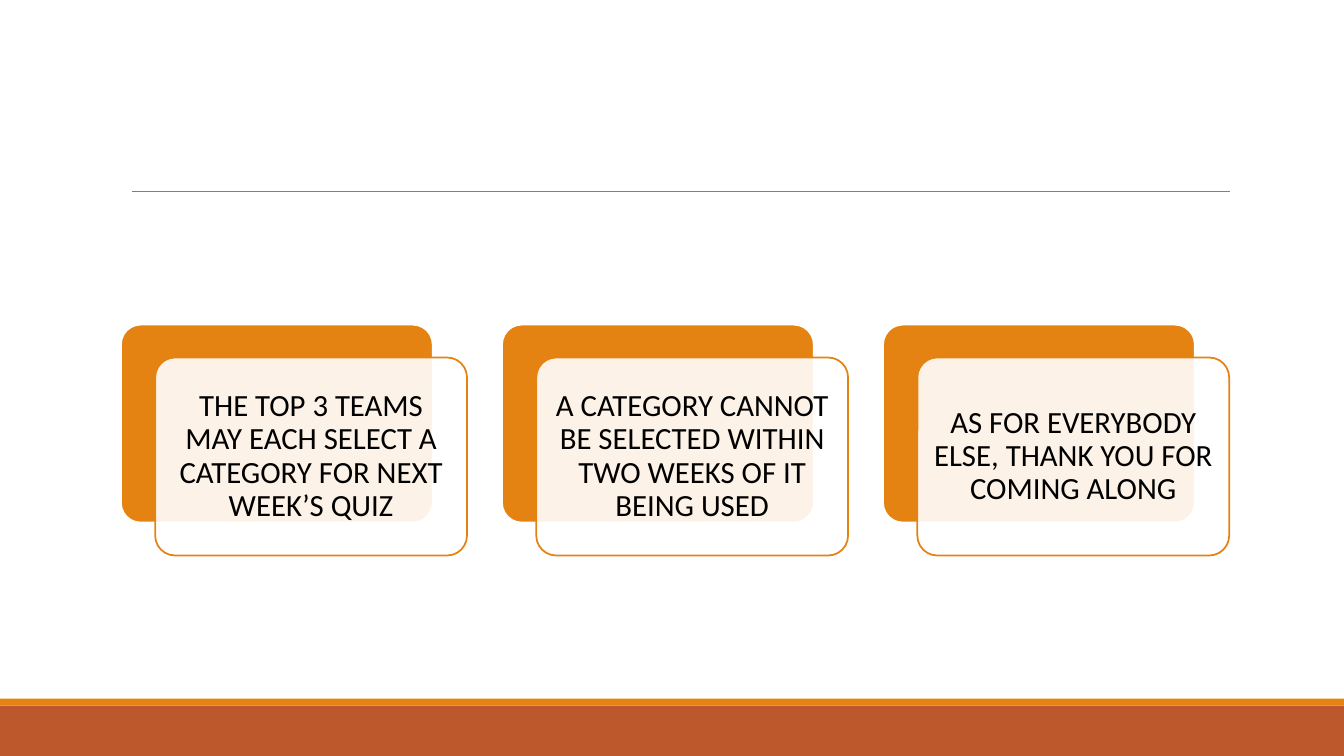
from lxml import etree
from pptx import Presentation
from pptx import util as u
from pptx.dml.color import RGBColor
from pptx.enum import shapes, text
from pptx.oxml.ns import qn

ORANGE, RUST, WHITE, GREY, BLACK = "E48312", "BD582C", "FFFFFF", "808080", "000000"
MESSAGES = [
    "THE TOP 3 TEAMS MAY EACH SELECT A CATEGORY FOR NEXT WEEK’S QUIZ",
    "A CATEGORY CANNOT BE SELECTED WITHIN TWO WEEKS OF IT BEING USED",
    "AS FOR EVERYBODY ELSE, THANK YOU FOR COMING ALONG",
]
CARD_LEFT, CARD_TOP, CARD_WIDTH, CARD_HEIGHT = 86.4, 231.9, 222.7, 141.4
CARD_STEP = 272.2
FRONT_SHIFT = 24.5, 23.5


def color(value):
    return RGBColor.from_string(value)


def add_block(kind, left, top, width, height, fill, outline=None):
    """Add a filled shape without shadow, outlined only if a colour is given."""
    block = page.shapes.add_shape(kind, u.Pt(left), u.Pt(top), u.Pt(width), u.Pt(height))
    block.shadow.inherit = False
    block.fill.solid()
    block.fill.fore_color.rgb = color(fill)
    if outline:
        block.adjustments[0] = 0.1
        block.line.color.rgb = color(outline)
        block.line.width = u.Pt(1.25)
    else:
        block.line.fill.background()
    return block


deck = Presentation()
deck.slide_width, deck.slide_height = u.Pt(960), u.Pt(540)
page = deck.slides.add_slide(deck.slide_layouts[6])

# Footer bands
rectangle = shapes.MSO_SHAPE.RECTANGLE
add_block(rectangle, 0, 504, 960, 36, RUST)
add_block(rectangle, 0, 499, 960, 5, ORANGE)

# Title rule
rule = page.shapes.add_connector(
    shapes.MSO_CONNECTOR.STRAIGHT, u.Pt(94.3), u.Pt(136.8), u.Pt(878.9), u.Pt(136.8))
rule.line.color.rgb = color(GREY)
rule.line.width = u.Pt(0.5)
etree.SubElement(rule._element.spPr, qn("a:effectLst"))

# Cards: an orange back with a translucent front that holds the message
rounded = shapes.MSO_SHAPE.ROUNDED_RECTANGLE
for index, message in enumerate(MESSAGES):
    left = CARD_LEFT + index * CARD_STEP
    add_block(rounded, left, CARD_TOP, CARD_WIDTH, CARD_HEIGHT, ORANGE, WHITE)
    front = add_block(rounded, left + FRONT_SHIFT[0], CARD_TOP + FRONT_SHIFT[1],
                      CARD_WIDTH, CARD_HEIGHT, WHITE, ORANGE)
    white_fill = front._element.spPr.find(qn("a:solidFill"))[0]
    etree.SubElement(white_fill, qn("a:alpha"), val="90000")

    frame = front.text_frame
    frame.word_wrap = True
    frame.vertical_anchor = text.MSO_ANCHOR.MIDDLE
    frame.margin_left = frame.margin_right = u.Pt(6.6)
    frame.margin_top = frame.margin_bottom = u.Pt(6.6)
    para = frame.paragraphs[0]
    para.alignment = text.PP_ALIGN.CENTER
    para.line_spacing = 0.9
    span = para.add_run()
    span.text = message
    span.font.name = "Calibri"
    span.font.size = u.Pt(22)
    span.font.color.rgb = color(BLACK)

deck.save("out.pptx")
